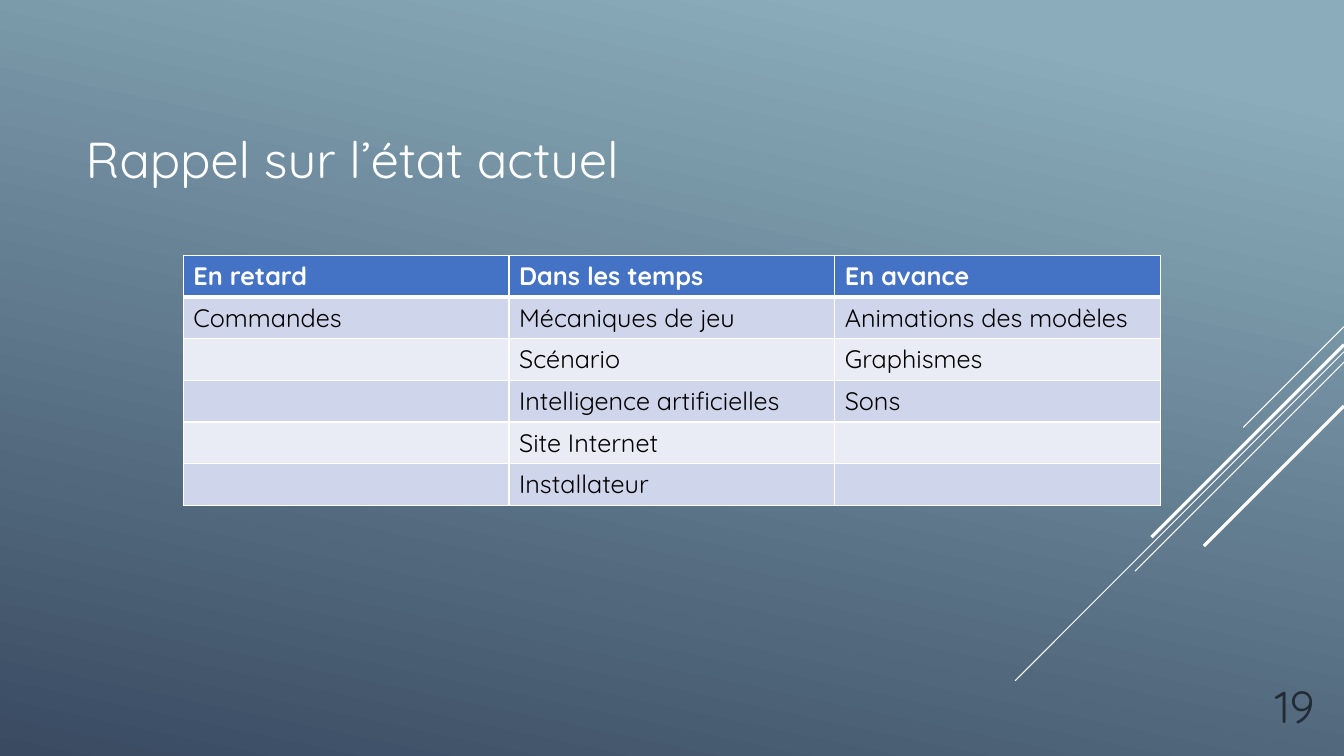
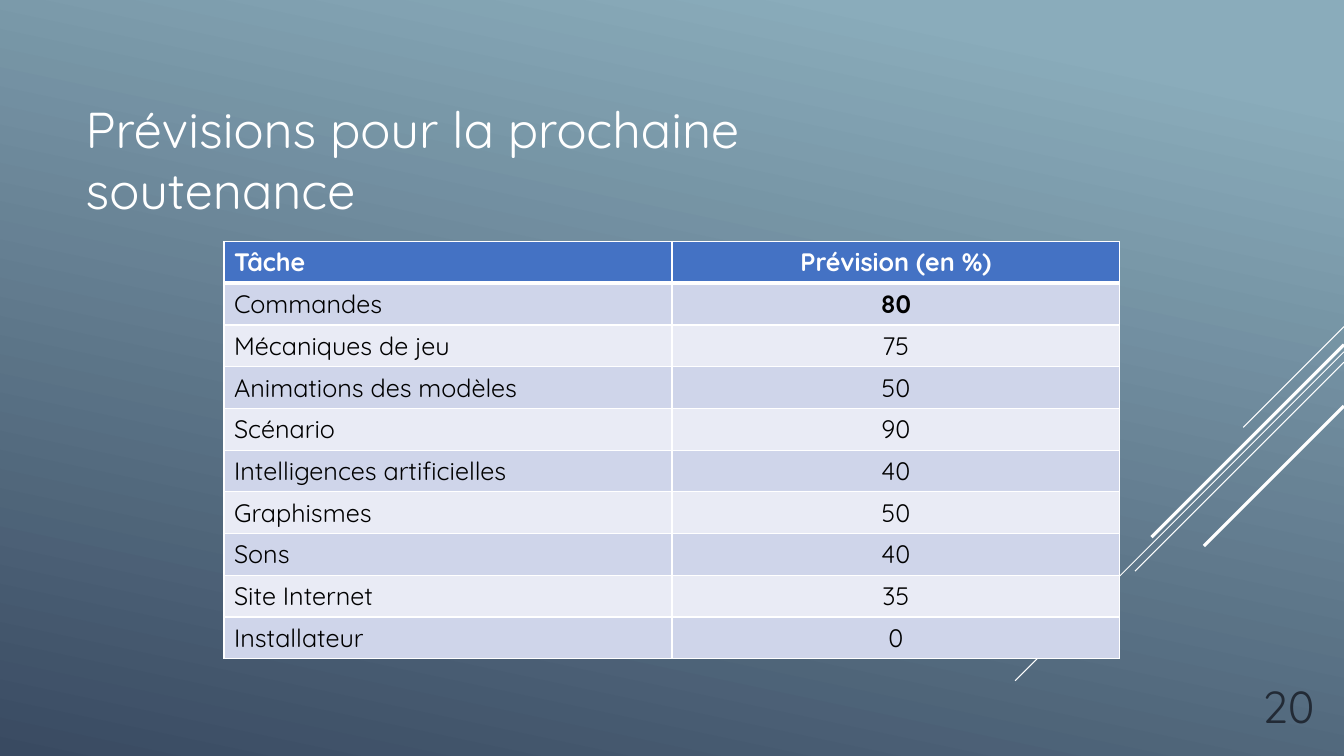
from lxml import etree
from pptx import Presentation
from pptx.dml.color import RGBColor
from pptx.enum.shapes import MSO_CONNECTOR
from pptx.enum.text import MSO_ANCHOR, MSO_AUTO_SIZE, PP_ALIGN
from pptx.oxml.ns import qn
from pptx.util import Pt

STRAIGHT = MSO_CONNECTOR.STRAIGHT
MIDDLE, BOTTOM = MSO_ANCHOR.MIDDLE, MSO_ANCHOR.BOTTOM
LEFT, CENTER, RIGHT = PP_ALIGN.LEFT, PP_ALIGN.CENTER, PP_ALIGN.RIGHT
NO_AUTOFIT = MSO_AUTO_SIZE.NONE

# Shared look
FONT = "Quicksand"
WHITE, BLACK, NUMBER_COLOR = "FFFFFF", "000000", "222A35"
SKY, NIGHT = "8AACBB", "394A61"
HEADER_FILL, BAND_FILLS = "4472C4", ("CFD5EA", "E9EBF5")
SLIDE_W, SLIDE_H = 960, 540
TITLE_BOX = (54, 54, 672, 118.8)
NUMBER_BOX = (856, 473.8, 90, 52.6)
ROW_H = 29.2
# Diagonal rays from the right edge: start height, horizontal run, line width
RAYS = [
    (233.3, 72, 0.75),
    (251.3, 234.9, 0.75),
    (258.7, 149.3, 0.75),
    (246.2, 137.5, 2.25),
    (290, 100, 2.25),
]

# Slide content
STATUS_ROWS = [
    ("En retard", "Dans les temps", "En avance"),
    ("Commandes", "Mécaniques de jeu", "Animations des modèles"),
    ("", "Scénario", "Graphismes"),
    ("", "Intelligence artificielles", "Sons"),
    ("", "Site Internet", ""),
    ("", "Installateur", ""),
]
FORECAST_ROWS = [
    ("Tâche", "Prévision (en %)"),
    ("Commandes", "80"),
    ("Mécaniques de jeu", "75"),
    ("Animations des modèles", "50"),
    ("Scénario", "90"),
    ("Intelligences artificielles", "40"),
    ("Graphismes", "50"),
    ("Sons", "40"),
    ("Site Internet", "35"),
    ("Installateur", "0"),
]


def rgb(hex_color):
    return RGBColor.from_string(hex_color)


def points(*values):
    return [Pt(value) for value in values]


def add_run(paragraph, text, size, color, bold=False):
    run = paragraph.add_run()
    run.text = text
    run.font.name = FONT
    run.font.size = Pt(size)
    run.font.bold = bold
    run.font.color.rgb = rgb(color)


def set_background(master):
    fill = master.background.fill
    fill.gradient()
    fill.gradient_angle = 360 - 102
    for stop, position, color in zip(fill.gradient_stops, (0.1, 1), (SKY, NIGHT)):
        stop.position = position
        stop.color.rgb = rgb(color)


def draw_rays(slide, right):
    for top, run, width in RAYS:
        ray = slide.shapes.add_connector(
            STRAIGHT, *points(right, top, right - run, top + run))
        ray.line.color.rgb = rgb(WHITE)
        ray.line.width = Pt(width)
        etree.SubElement(ray._element.spPr, qn("a:effectLst"))


def place_title(slide, text, box):
    title = slide.shapes.title
    title.left, title.top, title.width, title.height = points(*box)
    frame = title.text_frame
    frame.word_wrap = True
    frame.auto_size = NO_AUTOFIT
    frame.vertical_anchor = MIDDLE
    heading = frame.paragraphs[0]
    heading.alignment = LEFT
    add_run(heading, text, 36, WHITE)


def place_number(slide, number, box):
    frame = slide.shapes.add_textbox(*points(*box)).text_frame
    frame.word_wrap = True
    frame.vertical_anchor = BOTTOM
    paragraph = frame.paragraphs[0]
    paragraph.alignment = RIGHT
    add_run(paragraph, str(number), 32, NUMBER_COLOR)


def set_borders(cell, top, bottom):
    properties = cell._tc.get_or_add_tcPr()
    for side, width in (("L", 1), ("R", 1), ("T", top), ("B", bottom)):
        border = etree.SubElement(properties, qn(f"a:ln{side}"), w=str(Pt(width)))
        fill = etree.SubElement(border, qn("a:solidFill"))
        etree.SubElement(fill, qn("a:srgbClr"), val=WHITE)


def place_table(slide, rows, left, top, width, centered=(), bold=()):
    columns = len(rows[0])
    table = slide.shapes.add_table(
        len(rows), columns, *points(left, top, width, ROW_H * len(rows))).table
    for column in table.columns:
        column.width = Pt(width / columns)
    for r, labels in enumerate(rows):
        table.rows[r].height = Pt(ROW_H)
        header = r == 0
        for c, label in enumerate(labels):
            cell = table.cell(r, c)
            # A thick rule separates the header from the body
            set_borders(cell, 3 if r == 1 else 1, 3 if header else 1)
            cell.fill.solid()
            cell.fill.fore_color.rgb = rgb(
                HEADER_FILL if header else BAND_FILLS[(r - 1) % 2])
            paragraph = cell.text_frame.paragraphs[0]
            paragraph.alignment = CENTER if c in centered else LEFT
            if label:
                add_run(paragraph, label, 18, WHITE if header else BLACK,
                        header or (r, c) in bold)


def add_table_slide(deck, number, title, rows, left, top, **emphasis):
    slide = deck.slides.add_slide(deck.slide_layouts[5])
    draw_rays(slide, SLIDE_W)
    place_title(slide, title, TITLE_BOX)
    # Tables are centred across the slide
    place_table(slide, rows, left, top, SLIDE_W - 2 * left, **emphasis)
    place_number(slide, number, NUMBER_BOX)


def main():
    deck = Presentation()
    deck.slide_width, deck.slide_height = points(SLIDE_W, SLIDE_H)
    set_background(deck.slide_master)
    add_table_slide(deck, 19, "Rappel sur l’état actuel", STATUS_ROWS, 131, 182.2)
    add_table_slide(deck, 20, "Prévisions pour la prochaine soutenance",
                    FORECAST_ROWS, 160, 172.6, centered=(1,), bold=((1, 1),))
    deck.save("out.pptx")


if __name__ == "__main__":
    main()
